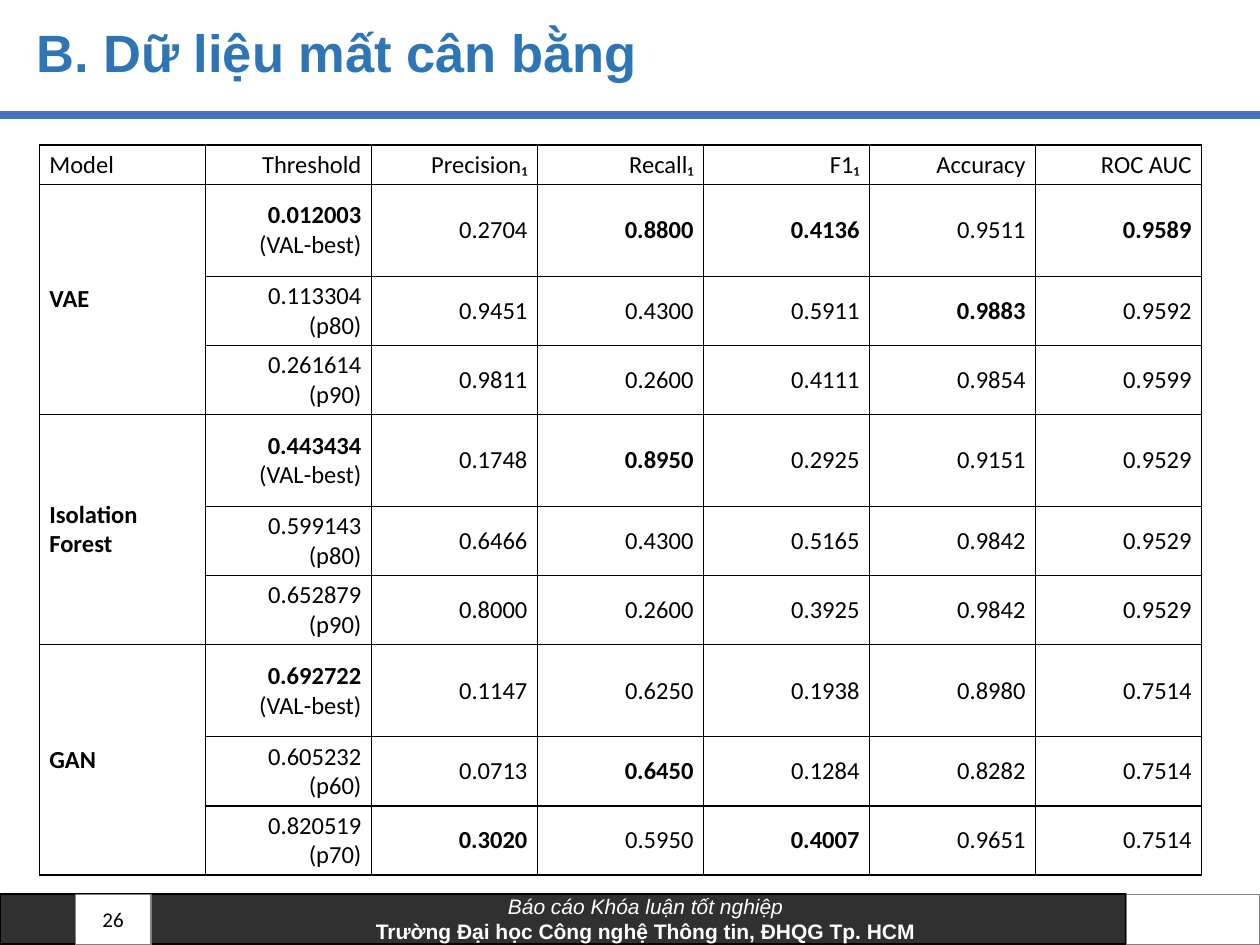
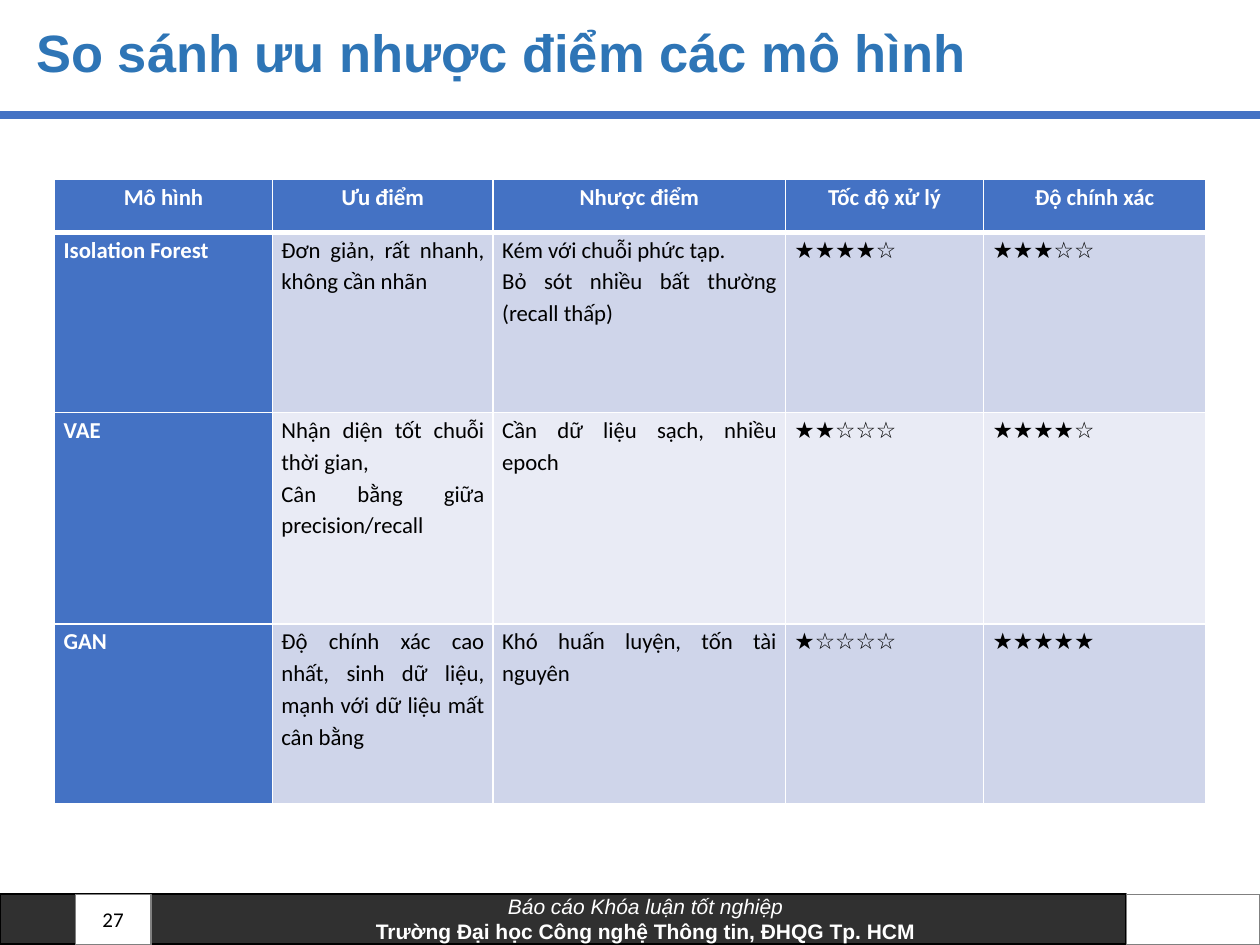
from lxml.etree import SubElement
from pptx import Presentation
from pptx.dml.color import RGBColor
from pptx.enum.shapes import MSO_CONNECTOR, MSO_SHAPE
from pptx.enum.text import MSO_ANCHOR, PP_ALIGN
from pptx.oxml import parse_xml
from pptx.oxml.ns import nsdecls, qn
from pptx.util import Pt

WHITE = RGBColor(0xFF, 0xFF, 0xFF)
BLACK = RGBColor(0, 0, 0)
GRAY = RGBColor(0x80, 0x80, 0x80)
BLUE = RGBColor(0x44, 0x72, 0xC4)
TITLE_BLUE = RGBColor(0x2E, 0x75, 0xB6)
BAND_DARK = RGBColor(0xCF, 0xD5, 0xEA)
BAND_LIGHT = RGBColor(0xE9, 0xEB, 0xF5)

PAGE_WIDTH, PAGE_HEIGHT = 720, 540
TITLE_BOX = (13.7, 11.5, 646.5, 40.3)
RULE_TOP = 65.5
FOOTER_BOX = (0, 510.7, PAGE_WIDTH, 28.8)
SCORES_BOX = (22.5, 82.8, 664.3)
COMPARISON_BOX = (31.2, 102.6)

SCORE_HEADS = ["Model", "Threshold", "Precision₁", "Recall₁", "F1₁", "Accuracy", "ROC AUC"]
SCORES = {
    "VAE": [
        ["0.012003 (VAL-best)", "0.2704", "0.8800", "0.4136", "0.9511", "0.9589"],
        ["0.113304 (p80)", "0.9451", "0.4300", "0.5911", "0.9883", "0.9592"],
        ["0.261614 (p90)", "0.9811", "0.2600", "0.4111", "0.9854", "0.9599"],
    ],
    "Isolation Forest": [
        ["0.443434 (VAL-best)", "0.1748", "0.8950", "0.2925", "0.9151", "0.9529"],
        ["0.599143 (p80)", "0.6466", "0.4300", "0.5165", "0.9842", "0.9529"],
        ["0.652879 (p90)", "0.8000", "0.2600", "0.3925", "0.9842", "0.9529"],
    ],
    "GAN": [
        ["0.692722 (VAL-best)", "0.1147", "0.6250", "0.1938", "0.8980", "0.7514"],
        ["0.605232 (p60)", "0.0713", "0.6450", "0.1284", "0.8282", "0.7514"],
        ["0.820519 (p70)", "0.3020", "0.5950", "0.4007", "0.9651", "0.7514"],
    ],
}
BOLD_SCORES = {(1, 3), (1, 4), (1, 6), (2, 5), (4, 3), (8, 3), (9, 2), (9, 4)}
GROUP_HEIGHTS = [52.6, 39.5, 39.5]

COMPARISON = [
    ["Mô hình", "Ưu điểm", "Nhược điểm", "Tốc độ xử lý", "Độ chính xác"],
    ["Isolation Forest", "Đơn giản, rất nhanh, không cần nhãn",
     "Kém với chuỗi phức tạp.\nBỏ sót nhiều bất thường (recall thấp)", "★★★★☆", "★★★☆☆"],
    ["VAE", "Nhận diện tốt chuỗi thời gian,\nCân bằng giữa precision/recall",
     "Cần dữ liệu sạch, nhiều epoch", "★★☆☆☆", "★★★★☆"],
    ["GAN", "Độ chính xác cao nhất, sinh dữ liệu, mạnh với dữ liệu mất cân bằng",
     "Khó huấn luyện, tốn tài nguyên", "★☆☆☆☆", "★★★★★"],
]
COMPARISON_WIDTHS = [124.4, 126.2, 167, 113.2, 126.9]
COMPARISON_HEIGHTS = [30.2, 103, 120.7, 103]


def style(font, size, color, name="Calibri", bold=False, italic=False):
    font.name, font.size = name, Pt(size)
    font.bold, font.italic = bold, italic
    font.color.rgb = color


def add_rect(page, left, top, width, height, fill, line):
    rect = page.shapes.add_shape(MSO_SHAPE.RECTANGLE, Pt(left), Pt(top), Pt(width), Pt(height))
    rect.shadow.inherit = False
    rect.fill.solid()
    rect.fill.fore_color.rgb = fill
    rect.line.color.rgb = line
    rect.line.width = Pt(1)
    return rect


def add_text(page, box, text):
    label = page.shapes.add_textbox(*map(Pt, box))
    label.text_frame.word_wrap = True
    label.text_frame.vertical_anchor = MSO_ANCHOR.MIDDLE
    label.text_frame.text = text
    return label.text_frame.paragraphs[0]


def add_title(page, box, title):
    para = add_text(page, box, title)
    para.line_spacing = 0.9
    style(para.runs[0].font, 30, TITLE_BLUE, "Arial", bold=True)

    # Rule under the title
    rule = page.shapes.add_connector(
        MSO_CONNECTOR.STRAIGHT, 0, Pt(RULE_TOP), Pt(PAGE_WIDTH), Pt(RULE_TOP))
    rule.line.color.rgb = BLUE
    rule.line.width = Pt(4.5)
    SubElement(rule._element.spPr, qn("a:effectLst"))


def add_footer(page, box, number):
    left, top, width, height = box
    logo_width = 76.3

    # Translucent dark band with two lines of text
    band = add_rect(page, left, top, width - logo_width, height, BLACK, BLACK)
    color = band._element.spPr.find(qn("a:solidFill"))[0]
    SubElement(color, qn("a:alpha")).set("val", "81000")
    frame = band.text_frame
    frame.word_wrap = True
    frame.vertical_anchor = MSO_ANCHOR.MIDDLE
    frame.margin_left = frame.margin_right = Pt(10.8)
    frame.margin_top = frame.margin_bottom = Pt(5)
    frame.text = "Báo cáo Khóa luận tốt nghiệp\nTrường Đại học Công nghệ Thông tin, ĐHQG Tp. HCM"
    for index, para in enumerate(frame.paragraphs):
        para.alignment = PP_ALIGN.CENTER
        para._p.get_or_add_pPr().set("marL", str(Pt(94.3)))
        style(para.runs[0].font, 12, WHITE, "Arial", bold=index == 1, italic=index == 0)

    # White boxes for the page number and the right end
    add_rect(page, left + 43.2, top + 0.5, 43.2, height, WHITE, GRAY)
    add_rect(page, left + width - logo_width, top + 0.5, logo_width, height, WHITE, GRAY)
    para = add_text(page, (left + 46.1, top, 31.7, height), str(number))
    para.alignment = PP_ALIGN.RIGHT
    style(para.runs[0].font, 12, BLACK)


def add_grid(page, left, top, widths, heights):
    frame = page.shapes.add_table(len(heights), len(widths), Pt(left), Pt(top),
                                  Pt(sum(widths)), Pt(sum(heights)))
    table = frame.table
    table.first_row = table.horz_banding = False
    for column, width in zip(table.columns, widths):
        column.width = Pt(width)
    for row, height in zip(table.rows, heights):
        row.height = Pt(height)
    return table


def format_cell(cell, side, end, fill=None):
    cell.margin_left = cell.margin_right = Pt(side)
    cell.margin_top = cell.margin_bottom = Pt(end)
    if fill is None:
        cell.fill.background()
    else:
        cell.fill.solid()
        cell.fill.fore_color.rgb = fill


def set_borders(cell, color, bottom=1):
    widths = {"lnL": 1, "lnR": 1, "lnT": 1, "lnB": bottom}
    properties = cell._tc.get_or_add_tcPr()
    for index, (tag, width) in enumerate(widths.items()):
        properties.insert(index, parse_xml(
            f'<a:{tag} {nsdecls("a")} w="{Pt(width)}"><a:solidFill>'
            f'<a:srgbClr val="{color}"/></a:solidFill></a:{tag}>'))


def add_scores(page, box):
    left, top, width = box
    count = len(SCORE_HEADS)
    table = add_grid(page, left, top, [width / count] * count, [22.3] + GROUP_HEIGHTS * len(SCORES))
    size = len(GROUP_HEIGHTS)
    rows = [SCORE_HEADS]
    for model, lines in SCORES.items():
        rows += [[model if index == 0 else ""] + line for index, line in enumerate(lines)]

    for row, texts in enumerate(rows):
        for column, text in enumerate(texts):
            cell = table.cell(row, column)
            format_cell(cell, 5.7, 2.85)
            set_borders(cell, BLACK)
            cell.vertical_anchor = MSO_ANCHOR.MIDDLE
            para = cell.text_frame.paragraphs[0]
            para.alignment = PP_ALIGN.RIGHT if column else PP_ALIGN.LEFT
            # The best threshold is bold, its note is not
            value, space, note = text.partition(" (VAL-best)")
            para.text = value
            bold = (row, column) in BOLD_SCORES or bool(space) or (row > 0 and column == 0)
            for span in para.runs:
                style(span.font, 14, BLACK, bold=bold)
            if space:
                span = para.add_run()
                span.text = space + note
                style(span.font, 14, BLACK)

    # One model cell for each group of thresholds
    for start in range(1, len(rows), size):
        table.cell(start, 0).merge(table.cell(start + size - 1, 0))


def add_comparison(page, box):
    table = add_grid(page, *box, COMPARISON_WIDTHS, COMPARISON_HEIGHTS)
    for row, texts in enumerate(COMPARISON):
        for column, text in enumerate(texts):
            is_head = row == 0 or column == 0
            band = BAND_DARK if row % 2 else BAND_LIGHT
            cell = table.cell(row, column)
            format_cell(cell, 5.2, 0, BLUE if is_head else band)
            set_borders(cell, WHITE, bottom=1 if row else 3)
            cell.text_frame.text = text
            for para in cell.text_frame.paragraphs:
                para.alignment = PP_ALIGN.JUSTIFY if row else PP_ALIGN.CENTER
                para.line_spacing = 1.15
                style(para.runs[0].font, 13, WHITE if is_head else BLACK, bold=is_head)


def add_page(deck, title, number):
    page = deck.slides.add_slide(deck.slide_layouts[6])
    add_footer(page, FOOTER_BOX, number)
    add_title(page, TITLE_BOX, title)
    return page


def main():
    deck = Presentation()
    deck.slide_width, deck.slide_height = Pt(PAGE_WIDTH), Pt(PAGE_HEIGHT)
    add_scores(add_page(deck, "B. Dữ liệu mất cân bằng", 26), SCORES_BOX)
    add_comparison(add_page(deck, "So sánh ưu nhược điểm các mô hình", 27), COMPARISON_BOX)
    deck.save("out.pptx")


if __name__ == "__main__":
    main()
